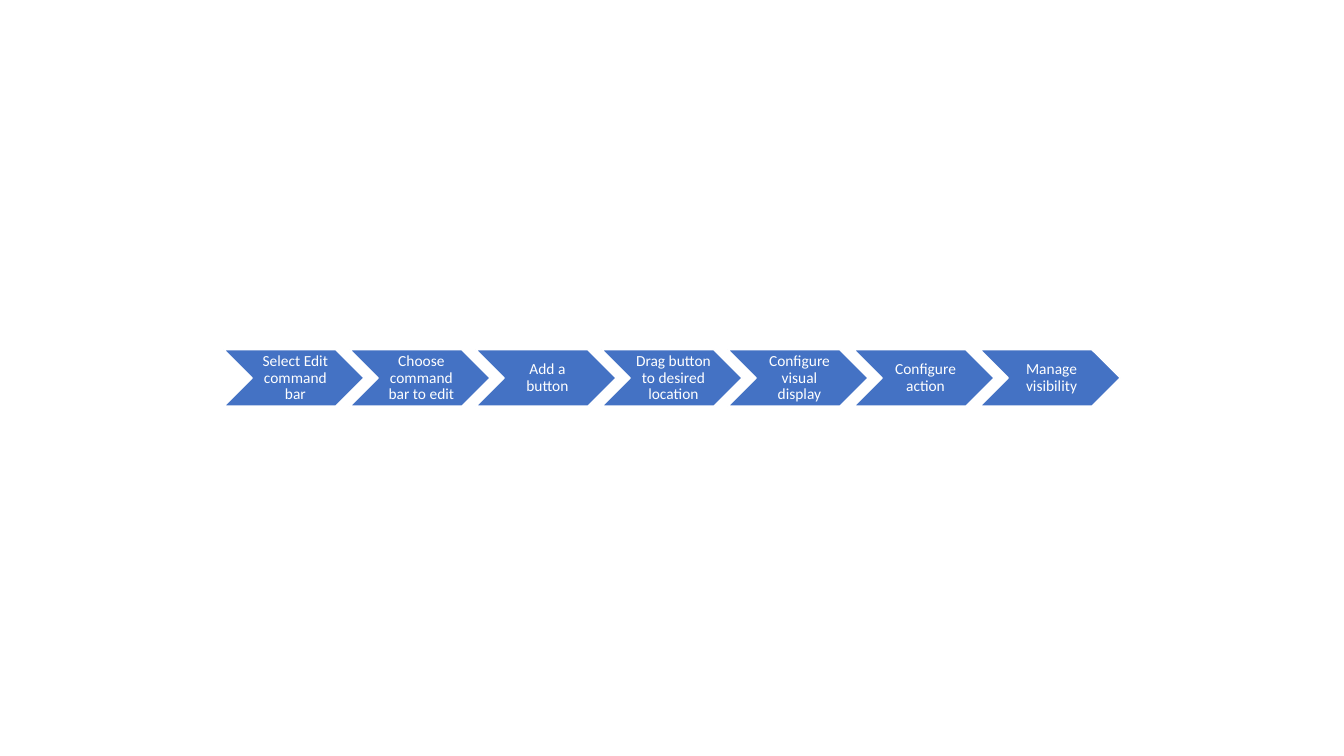
from pptx import Presentation
from pptx.dml.color import RGBColor
from pptx.enum.shapes import MSO_SHAPE
from pptx.enum.text import MSO_ANCHOR, PP_ALIGN
from pptx.util import Inches, Pt


def rgb(color):
    return RGBColor.from_string(color)


STEPS = [
    "Select Edit command bar",
    "Choose command bar to edit",
    "Add a button",
    "Drag button to desired location",
    "Configure visual display",
    "Configure action",
    "Manage visibility",
]
LEFT, TOP = 2.22, 3.47
WIDTH, HEIGHT = 1.39, 0.56
PITCH = 1.25  # each chevron overlaps the next by a tenth of its width
POINT = HEIGHT / 2  # depth of the notch and of the tip

prs = Presentation()
prs.slide_width, prs.slide_height = Inches(13.33), Inches(7.5)
s = prs.slides.add_slide(prs.slide_layouts[6])
process = s.shapes.add_group_shape()

for i, step in enumerate(STEPS):
    x = LEFT + i * PITCH
    sp = process.shapes.add_shape(MSO_SHAPE.CHEVRON, Inches(x), Inches(TOP),
                                  Inches(WIDTH), Inches(HEIGHT))
    sp.shadow.inherit = False
    sp.fill.solid()
    sp.fill.fore_color.rgb = rgb("4472C4")
    sp.line.color.rgb = rgb("FFFFFF")
    sp.line.width = Pt(1)

    label = process.shapes.add_textbox(Inches(x + POINT), Inches(TOP),
                                       Inches(WIDTH - 2 * POINT), Inches(HEIGHT))
    tf = label.text_frame
    tf.word_wrap = True
    tf.vertical_anchor = MSO_ANCHOR.MIDDLE
    tf.margin_left = Inches(0.05)
    tf.margin_top = tf.margin_right = tf.margin_bottom = Inches(0.02)
    p = tf.paragraphs[0]
    p.alignment = PP_ALIGN.CENTER
    p.line_spacing = 0.9
    r = p.add_run()
    r.text = step
    r.font.name = "Calibri"
    r.font.size = Pt(11)
    r.font.color.rgb = rgb("FFFFFF")

prs.save("out.pptx")
